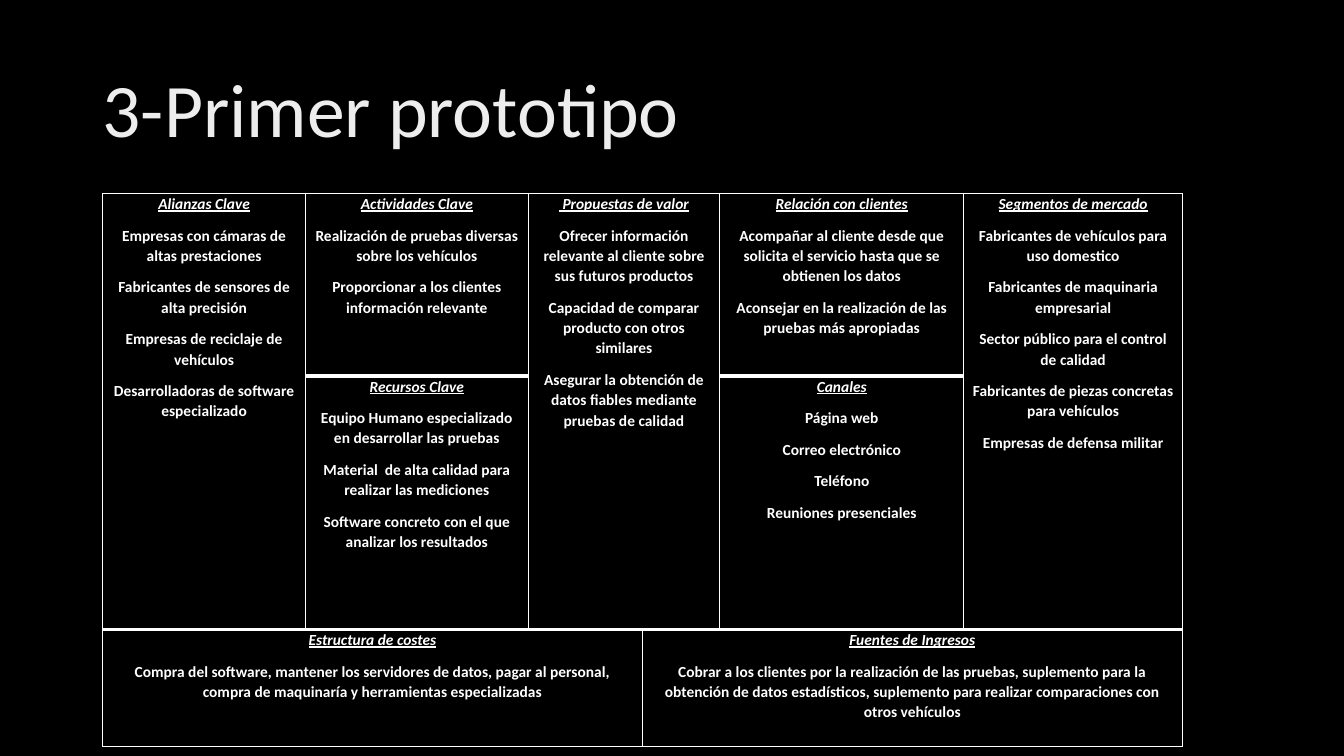
"""Build a business model canvas slide as one table with merged blocks."""
import lxml.etree
import pptx
import pptx.dml.color
import pptx.enum.text
import pptx.oxml.ns
import pptx.util

Inches, Pt = pptx.util.Inches, pptx.util.Pt
qn = pptx.oxml.ns.qn

HEADING = "3-Primer prototipo"
COLUMNS = [2.01, 2.21, 1.13, 0.77, 2.42, 2.17]
ROWS = [1.81, 2.12, 1.16]
THIN = {"lnL": 1, "lnR": 1, "lnT": 1, "lnB": 1}
THICK_BASE = {**THIN, "lnB": 3}

# (row, column, rows spanned, columns spanned, heading, entries)
BLOCKS = [
    (0, 0, 2, 1, "Alianzas Clave", [
        "Empresas con cámaras de altas prestaciones",
        "Fabricantes de sensores de alta precisión",
        "Empresas de reciclaje de vehículos",
        "Desarrolladoras de software especializado"]),
    (0, 1, 1, 1, "Actividades Clave", [
        "Realización de pruebas diversas sobre los vehículos",
        "Proporcionar a los clientes información relevante"]),
    (0, 2, 2, 2, " Propuestas de valor", [
        "Ofrecer información relevante al cliente sobre sus futuros productos",
        "Capacidad de comparar producto con otros similares",
        "Asegurar la obtención de datos fiables mediante pruebas de calidad"]),
    (0, 4, 1, 1, "Relación con clientes", [
        "Acompañar al cliente desde que solicita el servicio hasta que se obtienen los datos",
        "Aconsejar en la realización de las pruebas más apropiadas"]),
    (0, 5, 2, 1, "Segmentos de mercado", [
        "Fabricantes de vehículos para uso domestico",
        "Fabricantes de maquinaria empresarial",
        "Sector público para el control de calidad",
        "Fabricantes de piezas concretas para vehículos",
        "Empresas de defensa militar"]),
    (1, 1, 1, 1, "Recursos Clave", [
        "Equipo Humano especializado en desarrollar las pruebas",
        "Material  de alta calidad para realizar las mediciones",
        "Software concreto con el que analizar los resultados"]),
    (1, 4, 1, 1, "Canales", [
        "Página web", "Correo electrónico", "Teléfono", "Reuniones presenciales"]),
    (2, 0, 1, 3, "Estructura de costes", [
        "Compra del software, mantener los servidores de datos, pagar al personal, "
        "compra de maquinaría y herramientas especializadas"]),
    (2, 3, 1, 3, "Fuentes de Ingresos", [
        "Cobrar a los clientes por la realización de las pruebas, suplemento para la "
        "obtención de datos estadísticos, suplemento para realizar comparaciones con "
        "otros vehículos"]),
]

TITLE_FONT = {"name": "Calibri", "size": Pt(54)}
ENTRY_FONT = {"name": "Calibri", "size": Pt(11), "bold": True,
              "italic": False, "underline": False}
HEAD_FONT = {**ENTRY_FONT, "italic": True, "underline": True}
ENTRY_LAYOUT = {"alignment": pptx.enum.text.PP_ALIGN.CENTER,
                "line_spacing": 1.07, "space_after": Pt(8)}
CELL_LAYOUT = {"margin_left": Inches(0.07), "margin_right": Inches(0.07),
               "margin_top": 0, "margin_bottom": 0,
               "vertical_anchor": pptx.enum.text.MSO_ANCHOR.TOP}


def rgb(value):
    return pptx.dml.color.RGBColor.from_string(value)


def apply(target, values):
    for key, value in values.items():
        setattr(target, key, value)


def write(paragraph, text, font, layout, color):
    apply(paragraph, layout)
    run = paragraph.add_run()
    run.text = text
    apply(run.font, font)
    run.font.color.rgb = rgb(color)


def draw_borders(cell, widths, color="FFFFFF"):
    properties = cell._tc.get_or_add_tcPr()
    for side, points in widths.items():
        line = lxml.etree.SubElement(properties, qn("a:" + side), w=str(Pt(points)))
        paint = lxml.etree.SubElement(line, qn("a:solidFill"))
        lxml.etree.SubElement(paint, qn("a:srgbClr"), val=color)


def fill_block(canvas, row, column, height, width, heading, entries):
    corner = canvas.cell(row, column)
    if height * width > 1:
        corner.merge(canvas.cell(row + height - 1, column + width - 1))
    for r in range(row, row + height):
        for c in range(column, column + width):
            part = canvas.cell(r, c)
            draw_borders(part, THICK_BASE if row == 0 else THIN)
            part.fill.background()
    apply(corner, CELL_LAYOUT)
    frame = corner.text_frame
    write(frame.paragraphs[0], heading, HEAD_FONT, ENTRY_LAYOUT, "FFFFFF")
    for entry in entries:
        write(frame.add_paragraph(), entry, ENTRY_FONT, ENTRY_LAYOUT, "FFFFFF")


def main():
    deck = pptx.Presentation()
    apply(deck, {"slide_width": Inches(13.33), "slide_height": Inches(7.5)})
    slide = deck.slides.add_slide(deck.slide_layouts[6])
    slide.background.fill.solid()
    slide.background.fill.fore_color.rgb = rgb("000000")

    title = slide.shapes.add_textbox(
        Inches(0.92), Inches(0.4), Inches(11.5), Inches(1.45)).text_frame
    apply(title, {"word_wrap": True,
                  "vertical_anchor": pptx.enum.text.MSO_ANCHOR.MIDDLE})
    write(title.paragraphs[0], HEADING, TITLE_FONT, {"line_spacing": 0.9}, "EDEDED")

    canvas = slide.shapes.add_table(
        len(ROWS), len(COLUMNS), Inches(1.02), Inches(1.92),
        Inches(sum(COLUMNS)), Inches(sum(ROWS))).table
    apply(canvas, {"first_row": False, "horz_banding": False})
    for column, width in zip(canvas.columns, COLUMNS):
        column.width = Inches(width)
    for row, height in zip(canvas.rows, ROWS):
        row.height = Inches(height)
    for block in BLOCKS:
        fill_block(canvas, *block)

    deck.save("out.pptx")


if __name__ == "__main__":
    main()
